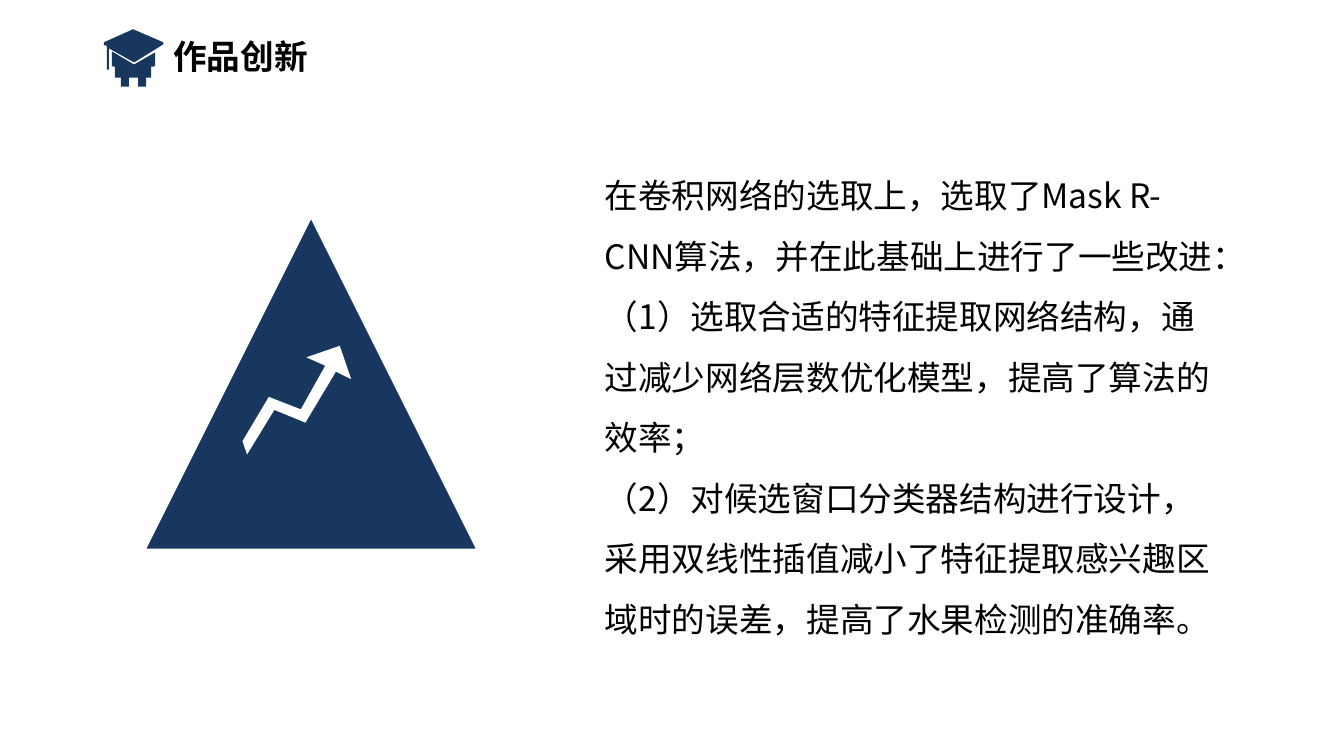
from lxml import etree
from pptx import Presentation
from pptx import util as u
from pptx.dml.color import RGBColor
from pptx.enum import shapes, text
from pptx.oxml.ns import qn

FONT = "Noto Sans CJK SC"
NAVY, WHITE, BLACK = "17375E", "FFFFFF", "000000"

TITLE = ["作品创新"]
INNOVATIONS = [
    "在卷积网络的选取上，选取了Mask R-CNN算法，并在此基础上进行了一些改进：",
    "（1）选取合适的特征提取网络结构，通过减少网络层数优化模型，提高了算法的效率；",
    "（2）对候选窗口分类器结构进行设计，采用双线性插值减小了特征提取感兴趣区域时的误差，提高了水果检测的准确率。",
]

GROWTH_ARROW = [
    (3.52, 3.61), (3.17, 3.61), (3.32, 3.75), (2.95, 4.08), (2.69, 3.86), (2.3, 4.19),
    (2.3, 4.33), (2.7, 4.0), (2.95, 4.22), (3.4, 3.84), (3.52, 3.96),
]
CAP_BOARD = [
    (1.03, 0.45), (1.05, 0.45), (1.06, 0.46), (1.06, 0.69), (1.08, 0.69), (1.08, 0.48),
    (1.33, 0.62), (1.62, 0.44), (1.62, 0.42), (1.32, 0.29), (1.03, 0.42),
]
CAP_BASE = [
    (1.5, 0.66), (1.53, 0.66), (1.54, 0.65), (1.54, 0.52), (1.33, 0.64), (1.11, 0.51),
    (1.11, 0.65), (1.12, 0.66), (1.14, 0.66), (1.14, 0.77), (1.2, 0.77), (1.2, 0.86),
    (1.28, 0.86), (1.28, 0.77), (1.37, 0.77), (1.37, 0.86), (1.45, 0.86), (1.45, 0.77),
    (1.5, 0.77),
]


def color(value):
    return RGBColor.from_string(value)


def paint(shape, fill, line=None):
    shape.shadow.inherit = False
    shape.fill.solid()
    shape.fill.fore_color.rgb = color(fill)
    if line:
        shape.line.color.rgb = color(line)
        shape.line.width = u.Pt(1)
    else:
        shape.line.fill.background()


def add_outline(slide, points, fill, rotation=0):
    start, *rest = [(u.Inches(x), u.Inches(y)) for x, y in points]
    builder = slide.shapes.build_freeform(*start)
    builder.add_line_segments(rest, close=True)
    shape = builder.convert_to_shape()
    paint(shape, fill)
    shape.rotation = rotation


def add_text(slide, box, lines, bold=False, spacing=1.0):
    frame = slide.shapes.add_textbox(*map(u.Inches, box)).text_frame
    frame.word_wrap = True
    frame.auto_size = text.MSO_AUTO_SIZE.SHAPE_TO_FIT_TEXT
    frame.text = "\n".join(lines)
    for paragraph in frame.paragraphs:
        paragraph.line_spacing = spacing
        for run in paragraph.runs:
            run.font.size = u.Pt(24)
            run.font.bold = bold
            run.font.color.rgb = color(BLACK)
            run.font.name = FONT
            etree.SubElement(run.font._element, qn("a:ea"), typeface=FONT)


def main():
    presentation = Presentation()
    presentation.slide_width = u.Inches(13.33)
    presentation.slide_height = u.Inches(7.5)
    slide = presentation.slides.add_slide(presentation.slide_layouts[6])

    triangle = slide.shapes.add_shape(
        shapes.MSO_SHAPE.ISOSCELES_TRIANGLE, *map(u.Inches, (1.44, 2.16, 3.29, 3.29)))
    paint(triangle, NAVY, WHITE)
    add_outline(slide, GROWTH_ARROW, WHITE, rotation=341)
    add_text(slide, (5.9, 1.49, 6.33, 4.88), INNOVATIONS, spacing=1.5)
    for outline in (CAP_BOARD, CAP_BASE):
        add_outline(slide, outline, NAVY)
    add_text(slide, (1.62, 0.31, 4.57, 0.5), TITLE, bold=True)

    presentation.save("out.pptx")


if __name__ == "__main__":
    main()
